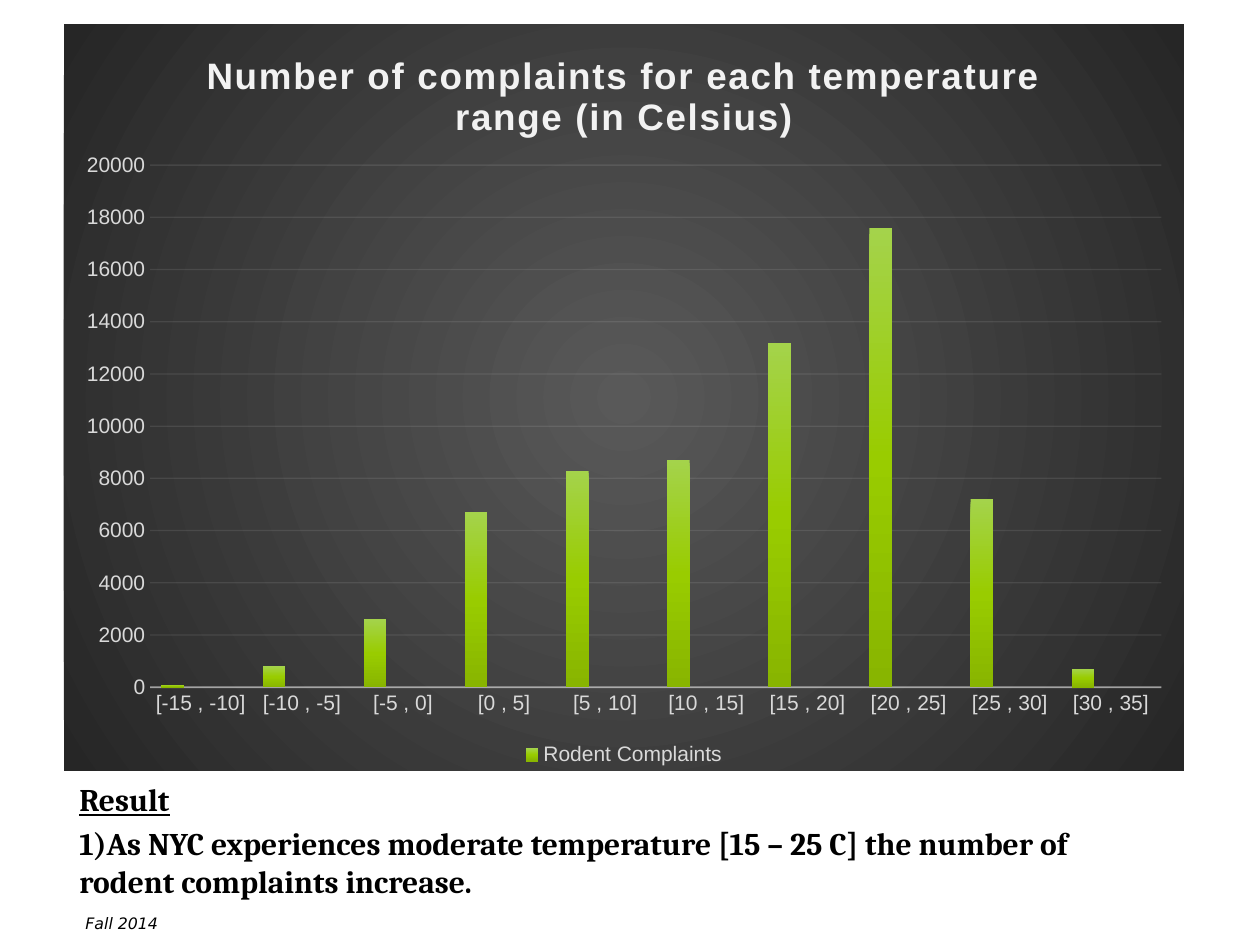
"""Builds a slide charting rodent complaints by temperature range, with its result."""
import pptx
import pptx.chart.data
import pptx.dml.color
import pptx.enum.chart
import pptx.enum.shapes
import pptx.enum.text
import pptx.oxml
import pptx.oxml.ns
import pptx.util

RGB = pptx.dml.color.RGBColor
BLACK = RGB(0x00, 0x00, 0x00)
TITLE_COLOR = RGB(0xF2, 0xF2, 0xF2)
LABEL_COLOR = RGB(0xD9, 0xD9, 0xD9)
BACKDROP = [(0, RGB(0x59, 0x59, 0x59)), (100, RGB(0x26, 0x26, 0x26))]
GREEN = [(0, RGB(0xA4, 0xD3, 0x4B)), (50, RGB(0x99, 0xCC, 0x00)), (100, RGB(0x88, 0xB5, 0x00))]
OLIVE = [(0, RGB(0xD2, 0xD2, 0x7A)), (50, RGB(0xD1, 0xD1, 0x61)), (100, RGB(0xC0, 0xC0, 0x50))]
WHITE = [(0, RGB(0xFF, 0xFF, 0xFF)), (50, RGB(0xFF, 0xFF, 0xFF)), (100, RGB(0xE3, 0xE3, 0xE3))]

CHART_TITLE = "Number of complaints for each temperature range (in Celsius)"
RANGES = ["[-15 , -10]", "[-10 , -5]", "[-5 , 0]", "[0 , 5]", "[5 , 10]",
          "[10 , 15]", "[15 , 20]", "[20 , 25]", "[25 , 30]", "[30 , 35]"]
COMPLAINTS = [100, 800, 2600, 6700, 8300, 8700, 13200, 17600, 7200, 700]
NO_VALUES = [None] * len(RANGES)
SERIES = [("Rodent Complaints", COMPLAINTS, GREEN),
          ("Series 2", NO_VALUES, OLIVE),
          ("Series 3", NO_VALUES, WHITE)]
RESULT = ["Result",
          "1)As NYC experiences moderate temperature [15 – 25 C] the number of "
          "rodent complaints increase."]
TERM = "Fall 2014"

CHART_BOX = (64, 24, 1120, 747)
PLOT_BOX = (150, 165, 1011, 522)
RESULT_BOX = (67, 774, 1095, 131)
TERM_BOX = (73, 908, 284, 31)
RULE = (65, 147, 1176, 147)

LINEAR = '<a:lin ang="5400000" scaled="0"/>'
RADIAL = '<a:path path="circle"><a:fillToRect l="50000" t="50000" r="50000" b="50000"/></a:path>'


def px(*lengths):
    return [pptx.util.Emu(round(length * 914400 / 126)) for length in lengths]


def xml(tag, content="", attributes=""):
    namespaces = pptx.oxml.ns.nsdecls("a", "c")
    return pptx.oxml.parse_xml(f"<{tag} {namespaces} {attributes}>{content}</{tag}>")


def gradient(stops, direction):
    marks = "".join(f'<a:gs pos="{place * 1000}"><a:srgbClr val="{color}"/></a:gs>'
                    for place, color in stops)
    return xml("a:gradFill", f"<a:gsLst>{marks}</a:gsLst>{direction}", 'rotWithShape="1"')


def set_font(font, name, size, color, **styles):
    font.name, font.size = name, pptx.util.Pt(size)
    font.color.rgb = color
    for style, value in styles.items():
        setattr(font, style, value)


def set_line(line, color, width):
    line.color.rgb = color
    line.width = pptx.util.Pt(width)


def add_rule(slide):
    rule = slide.shapes.add_connector(pptx.enum.shapes.MSO_CONNECTOR.STRAIGHT, *px(*RULE))
    set_line(rule.line, BLACK, 1.5)
    rule.element.spPr.append(xml("a:effectLst"))


def add_text(slide, box, lines):
    frame = slide.shapes.add_textbox(*px(*box)).text_frame
    frame.word_wrap = True
    frame.text = "\n".join(lines)
    return frame


def add_complaints_chart(slide):
    data = pptx.chart.data.CategoryChartData()
    data.categories = RANGES
    for name, values, _ in SERIES:
        data.add_series(name, values)
    chart = slide.shapes.add_chart(
        pptx.enum.chart.XL_CHART_TYPE.COLUMN_CLUSTERED, *px(*CHART_BOX), data).chart
    set_font(chart.font, "Arial", 10, BLACK)
    space = chart.element

    backdrop = xml("c:spPr", "<a:ln><a:noFill/></a:ln>")
    backdrop.insert(0, gradient(BACKDROP, RADIAL))
    space.find(pptx.oxml.ns.qn("c:chart")).addnext(backdrop)

    chart.has_title = True
    heading = chart.chart_title.text_frame
    heading.text = CHART_TITLE
    set_font(heading.paragraphs[0].font, "Arial", 21, TITLE_COLOR, bold=True)
    for properties in space.xpath("//c:title//a:defRPr"):
        properties.set("spc", "100")

    plot = chart.plots[0]
    plot.gap_width, plot.overlap, plot.vary_by_categories = 100, -24, False
    for series in plot.series:
        series.format.fill.background()
        series.format.line.fill.background()
    for properties, (_, _, stops) in zip(space.xpath("//c:ser/c:spPr"), SERIES):
        properties.replace(properties[0], gradient(stops, LINEAR))

    ranges, counts = chart.category_axis, chart.value_axis
    for axis in (ranges, counts):
        axis.major_tick_mark = pptx.enum.chart.XL_TICK_MARK.NONE
        set_font(axis.tick_labels.font, "Arial", 12, LABEL_COLOR)
    counts.minimum_scale, counts.maximum_scale, counts.major_unit = 0, 20000, 2000
    counts.format.line.fill.background()
    set_line(ranges.format.line, TITLE_COLOR, 1)
    set_line(counts.major_gridlines.format.line, TITLE_COLOR, 0.75)
    for part, opacity in (("catAx/c:spPr", 54), ("majorGridlines", 10)):
        for color in space.xpath(f"//c:{part}//a:srgbClr"):
            color.append(xml("a:alpha", attributes=f'val="{opacity * 1000}"'))

    chart.has_legend = True
    chart.legend.position = pptx.enum.chart.XL_LEGEND_POSITION.BOTTOM
    chart.legend.include_in_layout = False
    set_font(chart.legend.font, "Arial", 12, LABEL_COLOR)
    position = space.xpath("//c:legendPos")[0]
    for hidden in (2, 1):
        position.addnext(xml("c:legendEntry", f'<c:idx val="{hidden}"/><c:delete val="1"/>'))

    left, top, width, height = CHART_BOX
    x, y, w, h = PLOT_BOX
    shares = {"x": (x - left) / width, "y": (y - top) / height, "w": w / width, "h": h / height}
    manual = ('<c:layoutTarget val="inner"/><c:xMode val="edge"/><c:yMode val="edge"/>'
              + "".join(f'<c:{key} val="{share:.3f}"/>' for key, share in shares.items()))
    area = space.xpath("//c:plotArea")[0]
    for layout in area.xpath("./c:layout"):
        area.remove(layout)
    area.insert(0, xml("c:layout", f"<c:manualLayout>{manual}</c:manualLayout>"))


def main():
    deck = pptx.Presentation()
    deck.slide_width, deck.slide_height = px(1260, 945)
    slide = deck.slides.add_slide(deck.slide_layouts[6])
    add_rule(slide)

    term = add_text(slide, TERM_BOX, [TERM])
    term.vertical_anchor = pptx.enum.text.MSO_ANCHOR.MIDDLE
    set_font(term.paragraphs[0].font, "DejaVu Sans", 9, BLACK, italic=True)

    add_complaints_chart(slide)

    heading, finding = add_text(slide, RESULT_BOX, RESULT).paragraphs
    set_font(heading.font, "Cambria", 18, BLACK, bold=True, underline=True)
    set_font(finding.font, "Cambria", 18, BLACK, bold=True)
    finding.space_before = pptx.util.Pt(3.6)
    deck.save("out.pptx")


if __name__ == "__main__":
    main()
